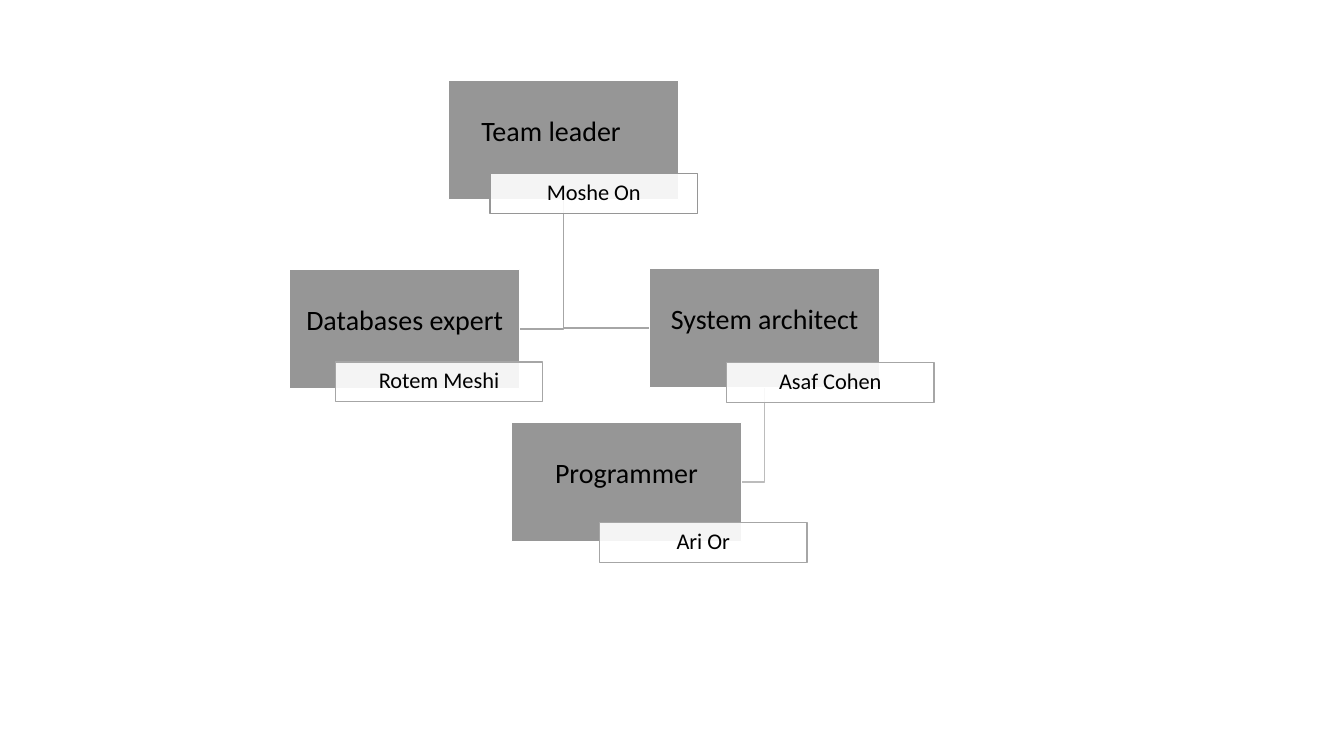
from lxml.etree import SubElement
from pptx import Presentation
from pptx.dml.color import RGBColor
from pptx.enum.shapes import MSO_SHAPE
from pptx.enum.text import MSO_ANCHOR, PP_ALIGN
from pptx.oxml.ns import qn
from pptx.util import Cm, Pt

BLACK = RGBColor(0x00, 0x00, 0x00)
WHITE = RGBColor(0xFF, 0xFF, 0xFF)
GREY = RGBColor(0x96, 0x96, 0x96)
MID_GREY = RGBColor(0xA6, 0xA6, 0xA6)
LIGHT_GREY = RGBColor(0xBC, 0xBC, 0xBC)

ROLE_WIDTH, ROLE_HEIGHT = 5.8, 3
NAME_WIDTH, NAME_HEIGHT = 5.23, 1

members = {
    "Team leader": ((11.3, 2.03), "Moshe On", (12.35, 4.38), GREY),
    "Databases expert": ((7.3, 6.79), "Rotem Meshi", (8.45, 9.12), MID_GREY),
    "System architect": ((16.37, 6.77), "Asaf Cohen", (18.31, 9.14), MID_GREY),
    "Programmer": ((12.89, 10.65), "Ari Or", (15.11, 13.17), MID_GREY),
}
reports = [
    ("System architect", "Programmer", LIGHT_GREY),
    ("Team leader", "System architect", MID_GREY),
    ("Team leader", "Databases expert", MID_GREY),
]


def add_box(page, text, corner, size, fill, line, font_size, insets):
    box = page.shapes.add_shape(
        MSO_SHAPE.RECTANGLE, *[Cm(length) for length in corner + size]
    )
    box.shadow.inherit = False
    box.fill.solid()
    box.fill.fore_color.rgb = fill
    box.line.color.rgb = line
    box.line.width = Pt(1)
    frame = box.text_frame
    frame.word_wrap = True
    frame.vertical_anchor = MSO_ANCHOR.MIDDLE
    frame.margin_left, frame.margin_top, frame.margin_right, frame.margin_bottom = [
        Cm(inset) for inset in insets
    ]
    para = frame.paragraphs[0]
    para.text = text
    para.alignment = PP_ALIGN.CENTER
    para.line_spacing = 0.9
    span = para.runs[0]
    span.font.name = "Calibri"
    span.font.size = Pt(font_size)
    span.font.color.rgb = BLACK
    return box


deck = Presentation()
deck.slide_width, deck.slide_height = Cm(33.87), Cm(19.05)
page = deck.slides.add_slide(deck.slide_layouts[6])

for manager, report, color in reports:
    manager_left, manager_top = members[manager][0]
    report_left, report_top = members[report][0]
    start_x = manager_left + ROLE_WIDTH / 2
    end_x = report_left if report_left > start_x else report_left + ROLE_WIDTH
    end_y = report_top + ROLE_HEIGHT / 2
    builder = page.shapes.build_freeform(Cm(start_x), Cm(manager_top + ROLE_HEIGHT))
    builder.add_line_segments(
        [(Cm(start_x), Cm(end_y)), (Cm(end_x), Cm(end_y))], close=False
    )
    elbow = builder.convert_to_shape()
    elbow.shadow.inherit = False
    elbow.fill.background()
    elbow.line.color.rgb = color
    elbow.line.width = Pt(1)

for role, (role_corner, person, name_corner, name_line) in members.items():
    role_box = add_box(
        page, role, role_corner, (ROLE_WIDTH, ROLE_HEIGHT),
        GREY, WHITE, 20, (0.03, 0.03, 0.03, 0.43),
    )
    if role == "Team leader":
        role_box.text_frame.paragraphs[0].alignment = PP_ALIGN.RIGHT
        role_box.text_frame.margin_right = Cm(1.45)
    name_box = add_box(
        page, person, name_corner, (NAME_WIDTH, NAME_HEIGHT),
        WHITE, name_line, 16, (0.1, 0.03, 0.1, 0.03),
    )
    fill_color = name_box.element.spPr.find(qn("a:solidFill"))[0]
    SubElement(fill_color, qn("a:alpha")).set("val", "90000")

deck.save("out.pptx")
